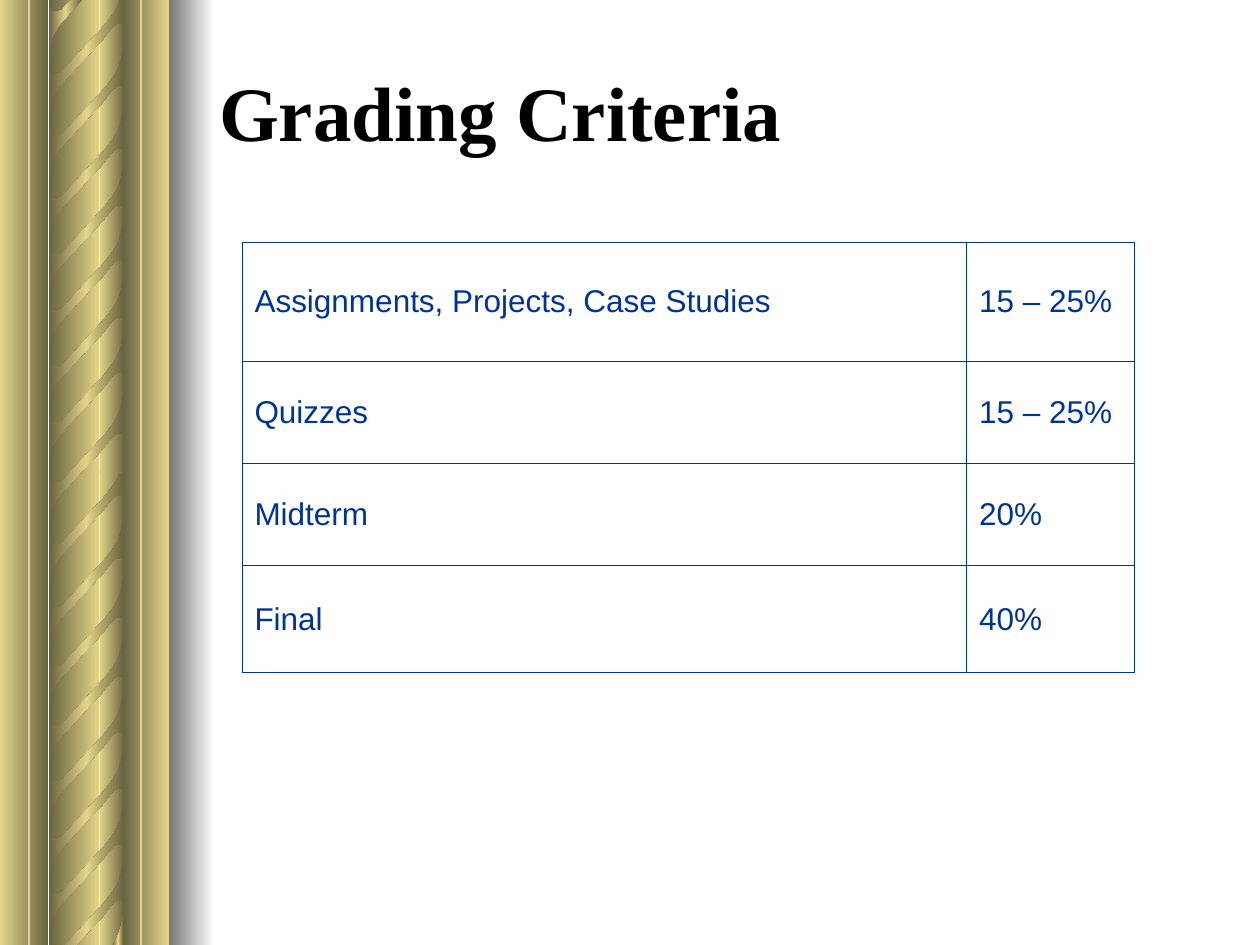
import dataclasses
import typing

import lxml.etree
import pptx
import pptx.dml.color
import pptx.enum.shapes
import pptx.enum.text
import pptx.oxml.ns
import pptx.util

COLS, ROWS = 100, 75
CELL = pptx.util.Inches(10) // COLS
Point = tuple[float, float]
qn = pptx.oxml.ns.qn


@dataclasses.dataclass(frozen=True)
class Theme:
    gold: str = "E5D58A"
    dark: str = "6A6340"
    shade: str = "767676"
    white: str = "FFFFFF"
    black: str = "000000"
    blue: str = "003399"
    serif: str = "Times New Roman"
    sans: str = "Arial"
    head: float = 44
    body: float = 18
    rule: float = 1
    edge: float = 0.45


class Band(typing.NamedTuple):
    left: float
    width: float
    stops: tuple[str, ...]


class Half(typing.NamedTuple):
    """Part of the column: its vertical span and the tops of its strands."""
    top: float
    foot: float
    tops: tuple[float, ...]


THEME = Theme()
RISE = (THEME.dark, THEME.gold)
FALL = RISE[::-1]
SHEEN = (THEME.dark, THEME.gold, THEME.dark)
BANDS = (Band(7.9, 2, FALL), Band(0, 3.8, FALL),
         Band(3.9, 4, RISE), Band(9.8, 3.6, RISE))
HALVES = (
    Half(37.3, ROWS, (45.8, 50.5, 54.9, 59.4, 63.8, 68.3, 72.5, 41.1, 36.1)),
    Half(0, 37.6, (8.6, 13.1, 17.5, 22, 26.4, 3.7, -1.3, -6.2)),
)
BRIDGE = 31.2
STRAND: tuple[Point, ...] = (
    (9.8, 0.9), (9.8, 3.3), (9.7, 3.2), (9.3, 3.2), (9.1, 3.3), (8.8, 3.6),
    (8.1, 4.5), (6.4, 6.3), (4.7, 8.2), (4.4, 8.7), (4.1, 9.3), (4, 10.1),
    (3.9, 11.2), (3.9, 6.3), (3.9, 6.8), (4, 7), (4.2, 7.1), (4.6, 7.1),
    (4.9, 7), (8.3, 3.3), (9, 2.4), (9.3, 1.9), (9.5, 1.4), (9.7, 0.6),
    (9.8, 0), (9.8, 2))
GRADES = (("Assignments, Projects, Case Studies", "15 – 25%"),
          ("Quizzes", "15 – 25%"), ("Midterm", "20%"), ("Final", "40%"))
WIDTHS = (57.5, 13.3)
HEIGHTS = (9.5, 8.1, 8.1, 8.5)


def grid(*cells: float) -> list[int]:
    return [round(n * CELL) for n in cells]


def tint(code: str) -> pptx.dml.color.RGBColor:
    return pptx.dml.color.RGBColor.from_string(code)


def blend(shape, stops: tuple[str, ...]) -> None:
    """Fill with evenly spaced colours from left to right, without outline."""
    shape.shadow.inherit = False
    shape.line.fill.background()
    shape.fill.gradient()
    shape.fill.gradient_angle = 0
    ramp = next(shape._element.iter(qn("a:gsLst")))
    ramp.clear()
    for i, code in enumerate(stops):
        stop = lxml.etree.SubElement(ramp, qn("a:gs"),
                                     pos=str(100000 * i // (len(stops) - 1)))
        lxml.etree.SubElement(stop, qn("a:srgbClr"), val=code)


def draw_band(shapes, band: Band, top: float, foot: float) -> None:
    box = grid(band.left, top, band.width, foot - top)
    shape = shapes.add_shape(pptx.enum.shapes.MSO_SHAPE.RECTANGLE, *box)
    blend(shape, band.stops)


def clip(points: list[Point], edge: float, side: int) -> list[Point]:
    """Keep what lies below the edge (side 1) or above it (side -1)."""
    kept = []
    for (x, y), (u, v) in zip(points, points[1:] + points[:1]):
        here, there = side * (y - edge) >= 0, side * (v - edge) >= 0
        if here:
            kept.append((x, y))
        if here != there:
            kept.append((x + (u - x) * (edge - y) / (v - y), edge))
    return kept


def draw_strand(shapes, top: float, low: float, high: float) -> None:
    points = [(x, top + y) for x, y in STRAND]
    points = clip(clip(points, low, 1), high, -1)
    first, *rest = [grid(*point) for point in points]
    pen = shapes.build_freeform(*first, scale=1)
    pen.add_line_segments(rest, close=True)
    blend(pen.convert_to_shape(), SHEEN)


def draw_rule(shapes, x: float) -> None:
    rule = shapes.add_connector(pptx.enum.shapes.MSO_CONNECTOR.STRAIGHT,
                                *grid(x, 0, x, ROWS))
    rule.line.color.rgb = tint(THEME.gold)
    rule.line.width = pptx.util.Pt(THEME.rule)
    lxml.etree.SubElement(rule._element.spPr, qn("a:effectLst"))


def draw_column(shapes) -> None:
    for half in HALVES:
        for band in BANDS:
            draw_band(shapes, band, half.top, half.foot)
        for top in half.tops:
            draw_strand(shapes, top, half.top, ROWS)
    draw_strand(shapes, BRIDGE, 0, ROWS)
    draw_band(shapes, Band(13.4, 3.6, (THEME.shade, THEME.white)), 0, ROWS)
    for x in (2.3, 11.2):
        draw_rule(shapes, x)


def write(frame, text: str, face: str, size: float, code: str,
          bold: bool = False) -> None:
    para = frame.paragraphs[0]
    para.text = text
    style = {"name": face, "size": pptx.util.Pt(size), "bold": bold}
    for key, value in style.items():
        setattr(para.runs[0].font, key, value)
    para.runs[0].font.color.rgb = tint(code)


def draw_title(shapes) -> None:
    frame = shapes.add_textbox(*grid(16.4, 2.5, 81.9, 12.5)).text_frame
    frame.word_wrap = True
    frame.vertical_anchor = pptx.enum.text.MSO_ANCHOR.MIDDLE
    write(frame, "Grading Criteria", THEME.serif, THEME.head, THEME.black, True)


def add_edges(cell) -> None:
    props = cell._tc.get_or_add_tcPr()
    for i, side in enumerate(("lnL", "lnR", "lnT", "lnB")):
        line = lxml.etree.Element(qn(f"a:{side}"),
                                  w=str(pptx.util.Pt(THEME.edge)))
        fill = lxml.etree.SubElement(line, qn("a:solidFill"))
        lxml.etree.SubElement(fill, qn("a:srgbClr"), val=THEME.blue)
        props.insert(i, line)


def draw_table(shapes) -> None:
    box = grid(19.2, 19.2, sum(WIDTHS), sum(HEIGHTS))
    table = shapes.add_table(len(HEIGHTS), len(WIDTHS), *box).table
    table.first_row = table.horz_banding = False
    for col, width in zip(table.columns, grid(*WIDTHS)):
        col.width = width
    for row, height, texts in zip(table.rows, grid(*HEIGHTS), GRADES):
        row.height = height
        for cell, text in zip(row.cells, texts):
            cell.fill.background()
            cell.vertical_anchor = pptx.enum.text.MSO_ANCHOR.MIDDLE
            write(cell.text_frame, text, THEME.sans, THEME.body, THEME.blue)
            add_edges(cell)


def main() -> None:
    deck = pptx.Presentation()
    deck.slide_width, deck.slide_height = grid(COLS, ROWS)
    shapes = deck.slides.add_slide(deck.slide_layouts[6]).shapes
    draw_column(shapes)
    draw_title(shapes)
    draw_table(shapes)
    deck.save("out.pptx")


if __name__ == "__main__":
    main()
